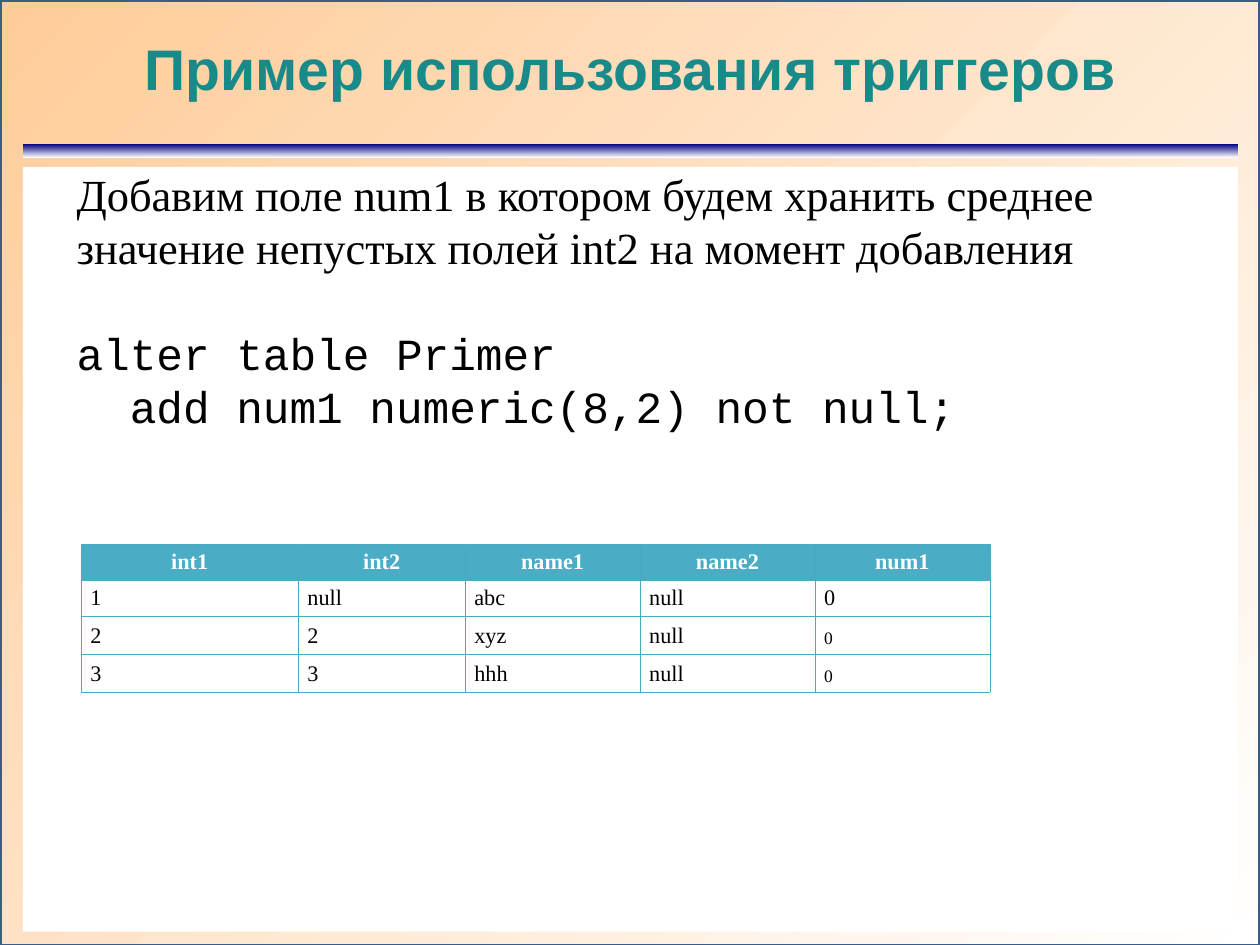
from lxml.etree import SubElement
from pptx import Presentation
from pptx.dml.color import RGBColor
from pptx.enum.shapes import MSO_SHAPE
from pptx.enum.text import MSO_ANCHOR, PP_ALIGN
from pptx.oxml.ns import qn
from pptx.util import Inches, Pt


class Theme:
    white = "FFFFFF"
    black = "000000"
    peach = "FFCC99"
    navy = "000080"
    frame = "385D8A"
    teal = "198A8A"
    head = "4BACC6"
    rule = "46AAC5"
    sans = "Arial"
    serif = "Times New Roman"
    mono = "Courier New"
    title = 36
    body = 28
    pitch = 33.5
    cell = 14
    small = 11
    plain = "{2D5ABB26-0587-4C30-8999-92F81FD0307C}"


def write(para, text, font=Theme.serif, size=Theme.body, color=Theme.black,
          bold=False, align=PP_ALIGN.LEFT, pitch=None, before=0):
    para.alignment = align
    para.space_before = Pt(before)
    if pitch:
        para.line_spacing = Pt(pitch)
    run = para.add_run()
    run.text = text
    run.font.name = font
    run.font.size = Pt(size)
    run.font.bold = bold
    run.font.color.rgb = RGBColor.from_string(color)


def panel(left, top, width, height, colors, angle=0):
    shape = slide.shapes.add_shape(
        MSO_SHAPE.RECTANGLE, Inches(left), Inches(top), Inches(width), Inches(height))
    shape.shadow.inherit = False
    shape.line.fill.background()
    if len(colors) == 1:
        shape.fill.solid()
        shape.fill.fore_color.rgb = RGBColor.from_string(colors[0])
    else:
        shape.fill.gradient()
        shape.fill.gradient_angle = angle
        for stop, color in zip(shape.fill.gradient_stops, colors):
            stop.color.rgb = RGBColor.from_string(color)
    frame = shape.text_frame
    frame.word_wrap = True
    frame.margin_left = frame.margin_right = Inches(0)
    frame.margin_top = frame.margin_bottom = Inches(0)
    return shape


deck = Presentation()
deck.slide_width = Inches(28 / 2.54)
deck.slide_height = Inches(21 / 2.54)
slide = deck.slides.add_slide(deck.slide_layouts[6])

back = panel(0, 0, 11.02, 8.27, [Theme.white, Theme.peach], 135)
back.line.color.rgb = RGBColor.from_string(Theme.frame)
back.line.width = Pt(2)
panel(0.2, 1.26, 10.63, 0.12, [Theme.navy, Theme.white], 270)

title = slide.shapes.add_textbox(Inches(0.2), Inches(0.2), Inches(10.63), Inches(0.79))
title.text_frame.word_wrap = True
title.text_frame.vertical_anchor = MSO_ANCHOR.MIDDLE
title.text_frame.margin_left = title.text_frame.margin_right = Inches(0)
title.text_frame.margin_top = title.text_frame.margin_bottom = Inches(0)
write(title.text_frame.paragraphs[0], "Пример использования триггеров", font=Theme.sans,
      size=Theme.title, color=Theme.teal, bold=True, align=PP_ALIGN.CENTER)

body = panel(0.2, 1.46, 10.63, 6.69, [Theme.white]).text_frame
body.margin_left = Inches(0.47)
body.vertical_anchor = MSO_ANCHOR.TOP
write(body.paragraphs[0], "Добавим поле num1 в котором будем хранить среднее "
      "значение непустых полей int2 на момент добавления", pitch=Theme.pitch)
write(body.add_paragraph(), "alter table Primer", font=Theme.mono,
      pitch=Theme.pitch, before=Theme.pitch)
write(body.add_paragraph(), "  add num1 numeric(8,2) not null;", font=Theme.mono,
      pitch=Theme.pitch)

rows = [
    ["int1", "int2", "name1", "name2", "num1"],
    ["1", "null", "abc", "null", "0"],
    ["2", "2", "xyz", "null", "0"],
    ["3", "3", "hhh", "null", "0"],
]
widths = [1.9, 1.46, 1.53, 1.53, 1.53]
heights = [0.31, 0.31, 0.33, 0.33]
table = slide.shapes.add_table(
    len(rows), len(widths), Inches(0.71), Inches(4.76),
    Inches(sum(widths)), Inches(sum(heights))).table
table.horz_banding = False
table._tbl.tblPr.find(qn("a:tableStyleId")).text = Theme.plain
for col, width in zip(table.columns, widths):
    col.width = Inches(width)

for i, row in enumerate(rows):
    table.rows[i].height = Inches(heights[i])
    head = i == 0
    for j, text in enumerate(row):
        cell = table.cell(i, j)
        cell.margin_left = cell.margin_right = Inches(0.08)
        cell.margin_top = Inches(0.05)
        cell.margin_bottom = Inches(0.05 if i > 1 else 0.03)
        props = cell._tc.get_or_add_tcPr()
        for side in ("a:lnL", "a:lnR", "a:lnT", "a:lnB"):
            edge = SubElement(props, qn(side), w=str(Pt(0.34)))
            fill = SubElement(edge, qn("a:solidFill"))
            SubElement(fill, qn("a:srgbClr"), val=Theme.rule)
        cell.fill.solid()
        cell.fill.fore_color.rgb = RGBColor.from_string(Theme.head if head else Theme.white)
        align = PP_ALIGN.JUSTIFY if j > 2 else PP_ALIGN.LEFT
        write(cell.text_frame.paragraphs[0], text,
              size=Theme.small if i > 1 and j == 4 else Theme.cell,
              color=Theme.white if head else Theme.black, bold=head,
              align=PP_ALIGN.CENTER if head else align,
              pitch=16.7 if i > 1 else None)

deck.save("out.pptx")
